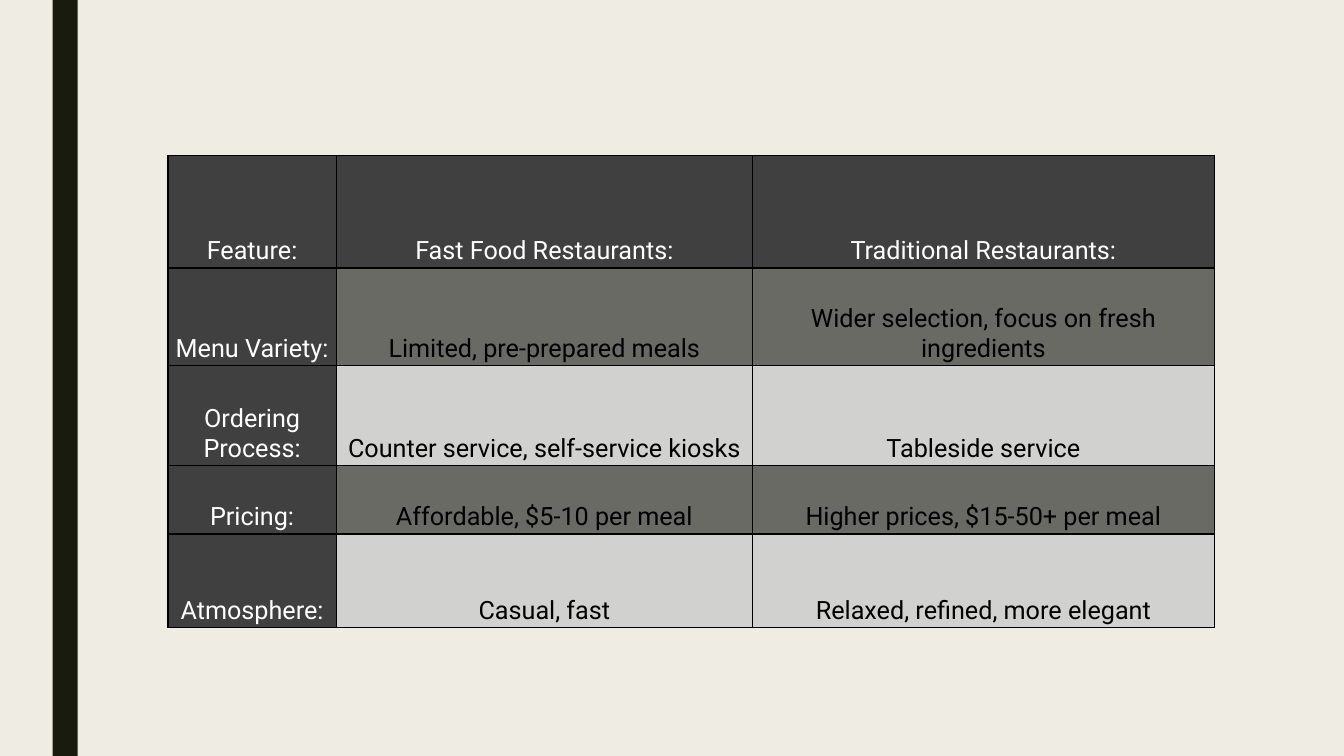
from lxml.etree import SubElement
from pptx import Presentation
from pptx.dml.color import RGBColor
from pptx.enum.shapes import MSO_SHAPE as Shape
from pptx.enum.text import MSO_ANCHOR as Anchor, PP_ALIGN as Align
from pptx.oxml.ns import qn
from pptx.util import Pt

COLORS = {
    "background": "EFEDE3",
    "bar": "191B0E",
    "header": "404040",
    "dark_band": "696A64",
    "light_band": "D1D1CF",
    "white": "FFFFFF",
    "black": "000000",
}
COLUMN_WIDTHS = [120.2, 297.4, 329.8]
ROW_HEIGHTS = [80.6, 69.8, 71.3, 49, 67]
COMPARISON = [
    ["Feature:", "Fast Food Restaurants:", "Traditional Restaurants:"],
    ["Menu Variety:", "Limited, pre-prepared meals", "Wider selection, focus on fresh ingredients"],
    ["Ordering Process:", "Counter service, self-service kiosks", "Tableside service"],
    ["Pricing:", "Affordable, $5-10 per meal", "Higher prices, $15-50+ per meal"],
    ["Atmosphere:", "Casual, fast", "Relaxed, refined, more elegant"],
]


class SlideBuilder:
    font = "Roboto"
    size = 18
    border_width = 1

    def __init__(self, slide):
        self.slide = slide

    def paint(self, fill, color):
        fill.solid()
        fill.fore_color.rgb = RGBColor.from_string(COLORS[color])

    def background(self, color):
        self.paint(self.slide.background.fill, color)

    def rectangle(self, left, top, width, height, color):
        shape = self.slide.shapes.add_shape(
            Shape.RECTANGLE, Pt(left), Pt(top), Pt(width), Pt(height))
        shape.shadow.inherit = False
        self.paint(shape.fill, color)
        shape.line.fill.background()

    def table(self, left, top, widths, heights, rows):
        """Draw a table with a dark first row and column and banded body rows."""
        table = self.slide.shapes.add_table(
            len(rows), len(widths), Pt(left), Pt(top),
            Pt(sum(widths)), Pt(sum(heights))).table
        for column, width in zip(table.columns, widths):
            column.width = Pt(width)
        for row, height in zip(table.rows, heights):
            row.height = Pt(height)
        for row_index, texts in enumerate(rows):
            band = "dark_band" if row_index % 2 else "light_band"
            for column_index, text in enumerate(texts):
                is_header = row_index == 0 or column_index == 0
                self.cell(table.cell(row_index, column_index), text,
                          "header" if is_header else band,
                          "white" if is_header else "black")

    def cell(self, cell, text, fill, color):
        cell.text_frame.text = text
        cell.vertical_anchor = Anchor.BOTTOM
        cell.margin_left = cell.margin_right = Pt(2)
        cell.margin_top = cell.margin_bottom = Pt(1.5)
        paragraph = cell.text_frame.paragraphs[0]
        paragraph.alignment = Align.CENTER
        font = paragraph.runs[0].font
        font.name = self.font
        font.size = Pt(self.size)
        font.bold = False
        font.color.rgb = RGBColor.from_string(COLORS[color])
        self.borders(cell)
        self.paint(cell.fill, fill)

    def borders(self, cell):
        properties = cell._tc.get_or_add_tcPr()
        for side in ("a:lnL", "a:lnR", "a:lnT", "a:lnB"):
            line = SubElement(properties, qn(side), w=str(Pt(self.border_width)))
            fill = SubElement(line, qn("a:solidFill"))
            SubElement(fill, qn("a:srgbClr"), val=COLORS["black"])


def main():
    presentation = Presentation()
    presentation.slide_width, presentation.slide_height = Pt(960), Pt(540)
    blank_layout = presentation.slide_layouts[6]
    builder = SlideBuilder(presentation.slides.add_slide(blank_layout))
    builder.background("background")
    builder.rectangle(37.5, 0, 18, 540, "bar")
    builder.table(120, 110.8, COLUMN_WIDTHS, ROW_HEIGHTS, COMPARISON)
    presentation.save("out.pptx")


if __name__ == "__main__":
    main()
